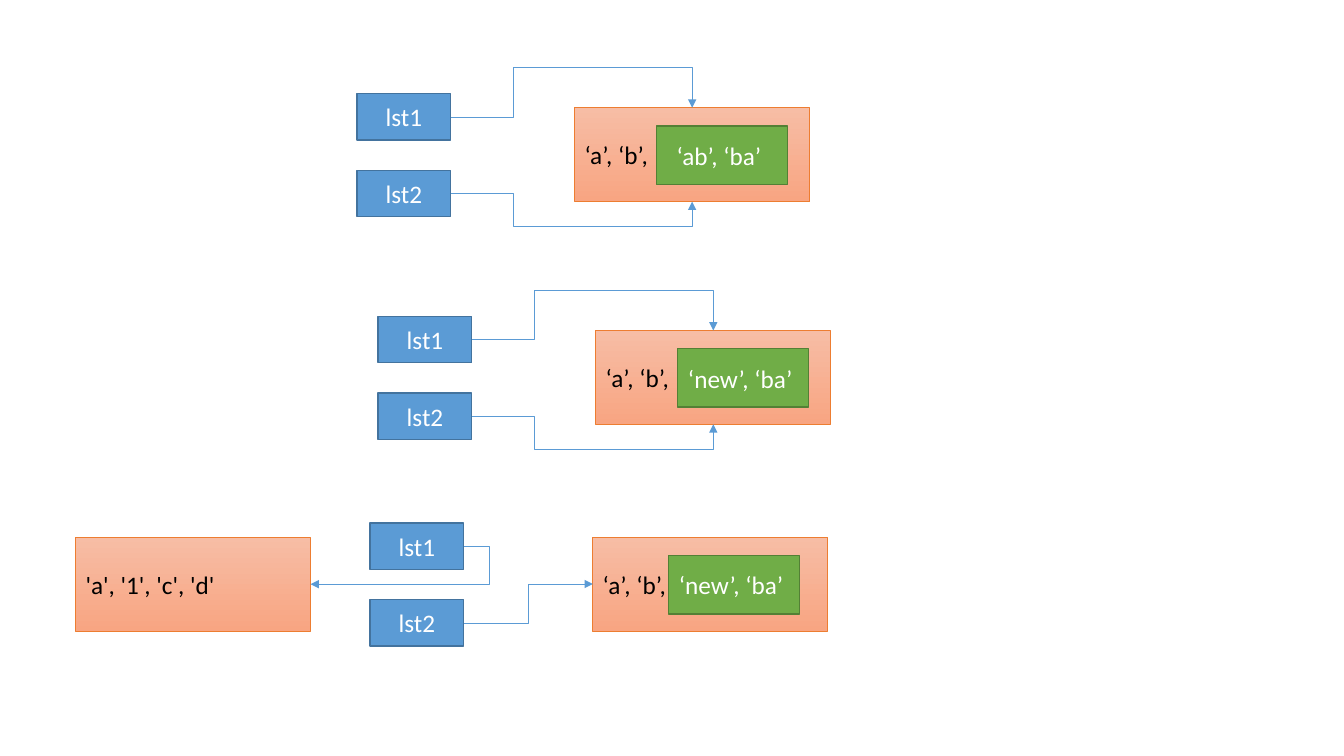
import pptx
import pptx.util
import pptx.dml.color
import pptx.enum.shapes
import pptx.enum.text
import pptx.oxml
import pptx.oxml.ns
import lxml.etree

Inches = pptx.util.Inches
Pt = pptx.util.Pt
qn = pptx.oxml.ns.qn

COLORS = {
    "name": "5B9BD5", "name_edge": "43739E",
    "list_top": "F7BDA5", "list_end": "F8A582", "list_edge": "ED7D31",
    "inner": "70AD47", "inner_edge": "538035",
    "light": "FFFFFF", "dark": "000000",
}
NAME_W, NAME_H = 0.93, 0.46
LIST_W, LIST_H = 2.33, 0.93
INNER_W, INNER_H = 1.3, 0.58
TOP, LEFT, BOTTOM, RIGHT = range(4)


def color(key):
    return pptx.dml.color.RGBColor.from_string(COLORS[key])


def add_box(group, box, text, edge, width, ink, align):
    """Outlined rectangle with one line of text."""
    shape = group.shapes.add_shape(
        pptx.enum.shapes.MSO_SHAPE.RECTANGLE, *map(Inches, box))
    shape.shadow.inherit = False
    shape.line.color.rgb = color(edge)
    shape.line.width = Pt(width)
    frame = shape.text_frame
    frame.word_wrap = True
    frame.vertical_anchor = pptx.enum.text.MSO_ANCHOR.MIDDLE
    para = frame.paragraphs[0]
    para.alignment = align
    run = para.add_run()
    run.text = text
    run.font.name = "Calibri"
    run.font.size = Pt(18)
    run.font.color.rgb = color(ink)
    return shape


def add_solid(group, box, text, fill):
    shape = add_box(group, box, text, fill + "_edge", 1, "light",
                    pptx.enum.text.PP_ALIGN.CENTER)
    shape.fill.solid()
    shape.fill.fore_color.rgb = color(fill)
    return shape


def add_list(group, x, y, text):
    shape = add_box(group, (x, y, LIST_W, LIST_H), text, "list_edge", 0.5,
                    "dark", pptx.enum.text.PP_ALIGN.LEFT)
    shape.fill.gradient()
    shape.fill.gradient_angle = 270
    for stop, key in zip(shape.fill.gradient_stops, ("list_top", "list_end")):
        stop.color.rgb = color(key)
    return shape


def site(shape, side):
    """Middle of one side of a rectangle."""
    across = {LEFT: 0, RIGHT: 2}.get(side, 1)
    down = {TOP: 0, BOTTOM: 2}.get(side, 1)
    return (shape.left + shape.width * across // 2,
            shape.top + shape.height * down // 2)


def add_arrow(group, name, target, side, turn, reach=None):
    """Elbow arrow: turn is the first run, reach the overshoot past target."""
    start, end = site(name, RIGHT), site(target, side)
    link = group.shapes.add_connector(
        pptx.enum.shapes.MSO_CONNECTOR.ELBOW, *start, *end)
    link.begin_connect(name, RIGHT)
    link.end_connect(target, side)
    link.line.color.rgb = color("name")
    link.line.width = Pt(0.5)

    # Bend positions, as shares of the connector's width and height
    bends = [Inches(turn) / (end[0] - start[0])]
    if reach is not None:
        bends.append(1 + Inches(reach) / abs(end[1] - start[1]))
    props = link._element.spPr
    geom = props.find(qn("a:prstGeom"))
    geom.set("prst", f"bentConnector{len(bends) + 2}")
    guides = geom.find(qn("a:avLst"))
    for num, bend in enumerate(bends, 1):
        lxml.etree.SubElement(guides, qn("a:gd"), name=f"adj{num}",
                              fmla=f"val {round(bend * 100000)}")

    # Arrowhead, and no shadow
    lxml.etree.SubElement(props.find(qn("a:ln")), qn("a:tailEnd"),
                          type="triangle")
    lxml.etree.SubElement(props, qn("a:effectLst"))


def add_parts(slide, x, y, inner, list_dx, inner_dx):
    """Two names at the left, a list with an inner list at the right."""
    group = slide.shapes.add_group_shape()
    target = add_list(group, x + list_dx, y + 0.14, "‘a’, ‘b’,")
    add_solid(group, (x + list_dx + inner_dx, y + 0.32, INNER_W, INNER_H),
              inner, "inner")
    names = [add_solid(group, (x, y + row * 0.76, NAME_W, NAME_H),
                       f"lst{row + 1}", "name") for row in range(2)]
    return group, names, target


def draw_shared(slide, x, y, inner):
    """Both names point to the same list."""
    group, names, target = add_parts(slide, x, y, inner, 2.16, 0.81)
    add_arrow(group, names[0], target, TOP, 0.62, 0.4)
    add_arrow(group, names[1], target, BOTTOM, 0.62, 0.25)


def draw_split(slide, x, y, inner, text):
    """The first name points to a list of its own at the far left."""
    group, names, target = add_parts(slide, x, y, inner, 2.21, 0.75)
    own = add_list(group, x - 2.92, y + 0.14, text)
    add_arrow(group, names[0], own, RIGHT, 0.25)
    add_arrow(group, names[1], target, LEFT, 0.64)


def main():
    deck = pptx.Presentation()
    deck.slide_width, deck.slide_height = Inches(13.33), Inches(7.5)
    slide = deck.slides.add_slide(deck.slide_layouts[6])
    draw_shared(slide, 3.54, 0.93, "‘ab’, ‘ba’ ")
    draw_shared(slide, 3.75, 3.14, "‘new’, ‘ba’ ")
    draw_split(slide, 3.67, 5.19, "‘new’, ‘ba’ ", "'a', '1', 'c', 'd'")
    deck.save("out.pptx")


if __name__ == "__main__":
    main()
